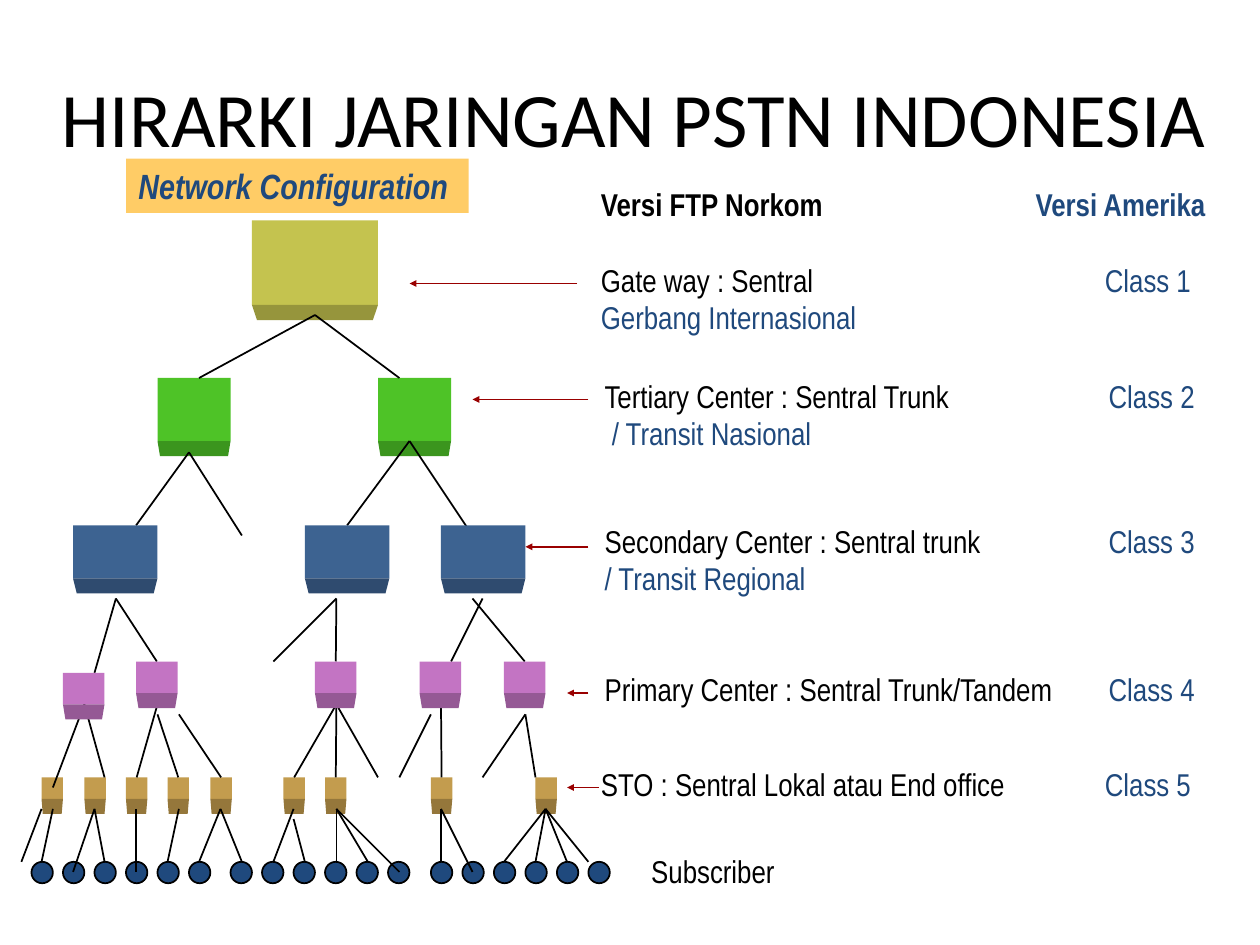
from dataclasses import dataclass

from lxml import etree
from pptx import Presentation
from pptx.dml.color import RGBColor
from pptx.enum.shapes import MSO_CONNECTOR, MSO_SHAPE
from pptx.enum.text import MSO_ANCHOR, PP_ALIGN
from pptx.oxml.ns import qn
from pptx.util import Inches, Pt

RECT, OVAL = MSO_SHAPE.RECTANGLE, MSO_SHAPE.OVAL
LINE = MSO_CONNECTOR.STRAIGHT
MID, CENTER, LEFT = MSO_ANCHOR.MIDDLE, PP_ALIGN.CENTER, PP_ALIGN.LEFT
TOP = 0


@dataclass(frozen=True)
class Theme:
    """Colours, fonts and type sizes of the slide."""
    black: str = "000000"
    navy: str = "1F497D"
    red: str = "990000"
    amber: str = "FFCC66"
    head: str = "Calibri"
    body: str = "Arial Narrow"
    title: int = 44
    label: int = 20
    text: int = 18


T = Theme()
DEPTH = 0.12

# width, height, inset, front, side, corners
GATE = (1, 0.67, 0.04, "C4C34F", "96953C", [(2, 1.75)])
TRUNK = (0.58, 0.5, 0.02, "4EC327", "3B951E", [(1.25, 3), (3, 3)])
ZONE = (0.67, 0.42, 0.03, "3D6391", "2F4B6F",
        [(x, 4.17) for x in (0.58, 2.42, 3.5)])
TANDEM = (0.33, 0.25, 0.02, "C374C3", "955995",
          [(0.5, 5.34)] + [(x, 5.25) for x in (1.08, 2.5, 3.33, 4)])
LOCAL = (0.17, 0.17, 0.01, "C39C4E", "95773B",
         [(x, 6.17) for x in (0.33, 0.67, 1, 1.33, 1.67, 2.25, 2.58, 3.42, 4.25)])

DOTS = [start + 0.25 * i
        for start, count in ((0.25, 6), (1.83, 6), (3.42, 6)) for i in range(count)]

FANS = [
    ((2.5, 2.5), [(3.17, 3), (1.58, 3)]),
    ((3.25, 3.5), [(2.75, 4.17), (3.75, 4.25)]),
    ((1.5, 3.59), [(1.08, 4.17), (1.92, 4.25)]),
    ((0.92, 4.75), [(0.75, 5.34), (1.25, 5.25)]),
    ((2.67, 4.75), [(2.67, 5.25), (2.17, 5.25)]),
    ((3.83, 4.75), [(3.58, 5.25)]),
    ((3.75, 4.75), [(4.17, 5.25)]),
    ((0.67, 5.59), [(0.42, 6.25), (0.83, 6.17)]),
    ((1.25, 5.59), [(1.08, 6.17)]),
    ((1.25, 5.67), [(1.42, 6.17)]),
    ((1.42, 5.67), [(1.75, 6.17)]),
    ((2.67, 5.59), [(2.33, 6.17), (2.67, 6.17), (3, 6.17)]),
    ((3.5, 5.59), [(3.5, 6.17)]),
    ((4.17, 5.67), [(4.25, 6.17), (3.83, 6.17)]),
    ((3.42, 5.67), [(3.17, 6.17)]),
    ((0.33, 6.42), [(0.17, 6.84)]),
    ((0.42, 6.42), [(0.33, 6.84)]),
    ((0.75, 6.42), [(0.58, 6.92), (0.83, 6.84)]),
    ((1.08, 6.42), [(1.08, 6.92)]),
    ((1.42, 6.42), [(1.33, 6.84)]),
    ((1.75, 6.42), [(1.58, 6.84), (1.92, 6.84)]),
    ((2.33, 6.42), [(2.17, 6.84)]),
    ((2.33, 6.5), [(2.42, 6.84)]),
    ((2.67, 6.42), [(3.17, 6.92), (2.67, 6.84), (2.92, 6.84)]),
    ((3.5, 6.42), [(3.5, 6.84), (3.75, 6.92)]),
    ((4.33, 6.42), [(x, 6.84) for x in (4, 4.25, 4.5, 4.67)]),
]

ARROWS = [(4.58, 3.25, 2.25), (4.67, 3.75, 3.17), (4.67, 4.17, 4.34),
          (4.67, 4.5, 5.5), (4.75, 4.5, 6.25)]

# left, top, height, name, class, second line
ROWS = [
    (4.7, 2.94, 0.7, "Tertiary Center : Sentral Trunk", "Class 2", " / Transit Nasional"),
    (4.7, 4.09, 0.7, "Secondary Center : Sentral trunk", "Class 3", "/ Transit Regional"),
    (4.7, 5.27, 0.4, "Primary Center : Sentral Trunk/Tandem", "Class 4", ""),
    (4.67, 6.02, 0.4, "STO : Sentral Lokal atau End office", "Class 5", ""),
]


def rgb(code):
    """Turn a hex code into a colour."""
    return RGBColor.from_string(code)


def paint(shape, fill, edge=None):
    """Give a shape a flat fill and an optional edge."""
    shape.shadow.inherit = False
    shape.fill.solid()
    shape.fill.fore_color.rgb = rgb(fill)
    if edge:
        shape.line.color.rgb = rgb(edge)
        shape.line.width = Pt(1)
    else:
        shape.line.fill.background()


def style(run, size, color, face=T.body, bold=False, slant=False):
    """Set the type of one run."""
    font = run.font
    font.size, font.name, font.bold, font.italic = Pt(size), face, bold, slant
    font.color.rgb = rgb(color)


def boxes(slide, tier):
    """Draw one tier of solid boxes and return their fronts."""
    w, h, inset, front, side, spots = tier
    faces = []
    for x, y in spots:
        face = slide.shapes.add_shape(RECT, Inches(x), Inches(y), Inches(w), Inches(h))
        paint(face, front)
        faces.append(face)
        low = y + h
        pen = slide.shapes.build_freeform(Inches(x), Inches(low))
        pen.add_line_segments([
            (Inches(x + w), Inches(low)),
            (Inches(x + w - inset), Inches(low + DEPTH)),
            (Inches(x + inset), Inches(low + DEPTH))])
        paint(pen.convert_to_shape(), side)
    return faces


def link(slide, start, end, color=T.black, arrow=False):
    """Draw a straight line, with an arrowhead at its end if asked."""
    line = slide.shapes.add_connector(LINE, *map(Inches, start + end))
    line.line.color.rgb = rgb(color)
    line.line.width = Pt(1)
    if arrow:
        etree.SubElement(line.line._get_or_add_ln(), qn("a:tailEnd"),
                         type="triangle", w="sm", len="sm")
    etree.SubElement(line._element.spPr, qn("a:effectLst"))
    return line


def join(lines, faces):
    """Join each line that ends at the middle of a box top."""
    near = Inches(0.02)
    for line in lines:
        for face in faces:
            mid = face.left + face.width // 2
            if abs(line.end_x - mid) < near and abs(line.end_y - face.top) < near:
                line.end_connect(face, TOP)


def note(slide, x, y, w, h, wrap=False):
    """Add a text box and return its frame."""
    frame = slide.shapes.add_textbox(*map(Inches, (x, y, w, h))).text_frame
    frame.word_wrap = wrap
    return frame


def fill(para, parts, bold=False, stop=4):
    """Write coloured parts into a paragraph with one tab stop."""
    if len(parts) > 1:
        tabs = etree.SubElement(para._p.get_or_add_pPr(), qn("a:tabLst"))
        etree.SubElement(tabs, qn("a:tab"), pos=str(Inches(stop)), algn="l")
    for words, color in parts:
        run = para.add_run()
        run.text = words
        style(run, T.text, color, bold=bold)


def row(slide, x, y, h, name, rank, more):
    """Write one level of the exchange list."""
    frame = note(slide, x, y, 4.89, h)
    fill(frame.paragraphs[0], [(name + "\t", T.black), (rank, T.navy)])
    if more:
        fill(frame.add_paragraph(), [(more, T.navy)])


def intro(slide):
    """Write the column heads and the gateway level."""
    frame = note(slide, 4.67, 1.42, 5.25, 1.3, wrap=True)
    fill(frame.paragraphs[0], [("Versi FTP Norkom\t", T.black), ("Versi Amerika", T.navy)],
         bold=True, stop=3.45)
    gate = frame.add_paragraph()
    gate.space_before = Pt(21.6)
    fill(gate, [("Gate way : Sentral\t", T.black), ("Class 1", T.navy)])
    fill(frame.add_paragraph(), [("Gerbang Internasional", T.navy)])


def title(slide):
    """Write the slide title and the label below it."""
    frame = note(slide, 0.31, 0.3, 9.45, 1.25, wrap=True)
    frame.text = "HIRARKI JARINGAN PSTN INDONESIA"
    frame.vertical_anchor = MID
    frame.paragraphs[0].alignment = CENTER
    style(frame.paragraphs[0].runs[0], T.title, T.black, T.head)
    label = slide.shapes.add_shape(RECT, *map(Inches, (1, 1.26, 2.72, 0.43)))
    paint(label, T.amber)
    label.text_frame.text = "Network Configuration"
    label.text_frame.word_wrap = False
    para = label.text_frame.paragraphs[0]
    para.alignment = LEFT
    style(para.runs[0], T.label, T.navy, bold=True, slant=True)


def main():
    """Build and save the slide."""
    deck = Presentation()
    deck.slide_width, deck.slide_height = Inches(10), Inches(7.5)
    slide = deck.slides.add_slide(deck.slide_layouts[6])
    title(slide)
    faces = [face for tier in (GATE, TRUNK, LOCAL) for face in boxes(slide, tier)]
    for x in DOTS:
        dot = slide.shapes.add_shape(OVAL, *map(Inches, (x, 6.84, 0.17, 0.17)))
        paint(dot, T.navy, T.black)
    intro(slide)
    for item in ROWS:
        row(slide, *item)
    fill(note(slide, 5.07, 6.71, 1.18, 0.4).paragraphs[0], [("Subscriber", T.black)])
    lines = [link(slide, start, end) for start, ends in FANS for end in ends]
    for start, end, y in ARROWS:
        link(slide, (start, y), (end, y), T.red, arrow=True)
    faces += [face for tier in (ZONE, TANDEM) for face in boxes(slide, tier)]
    join(lines, faces)
    deck.save("out.pptx")


if __name__ == "__main__":
    main()
